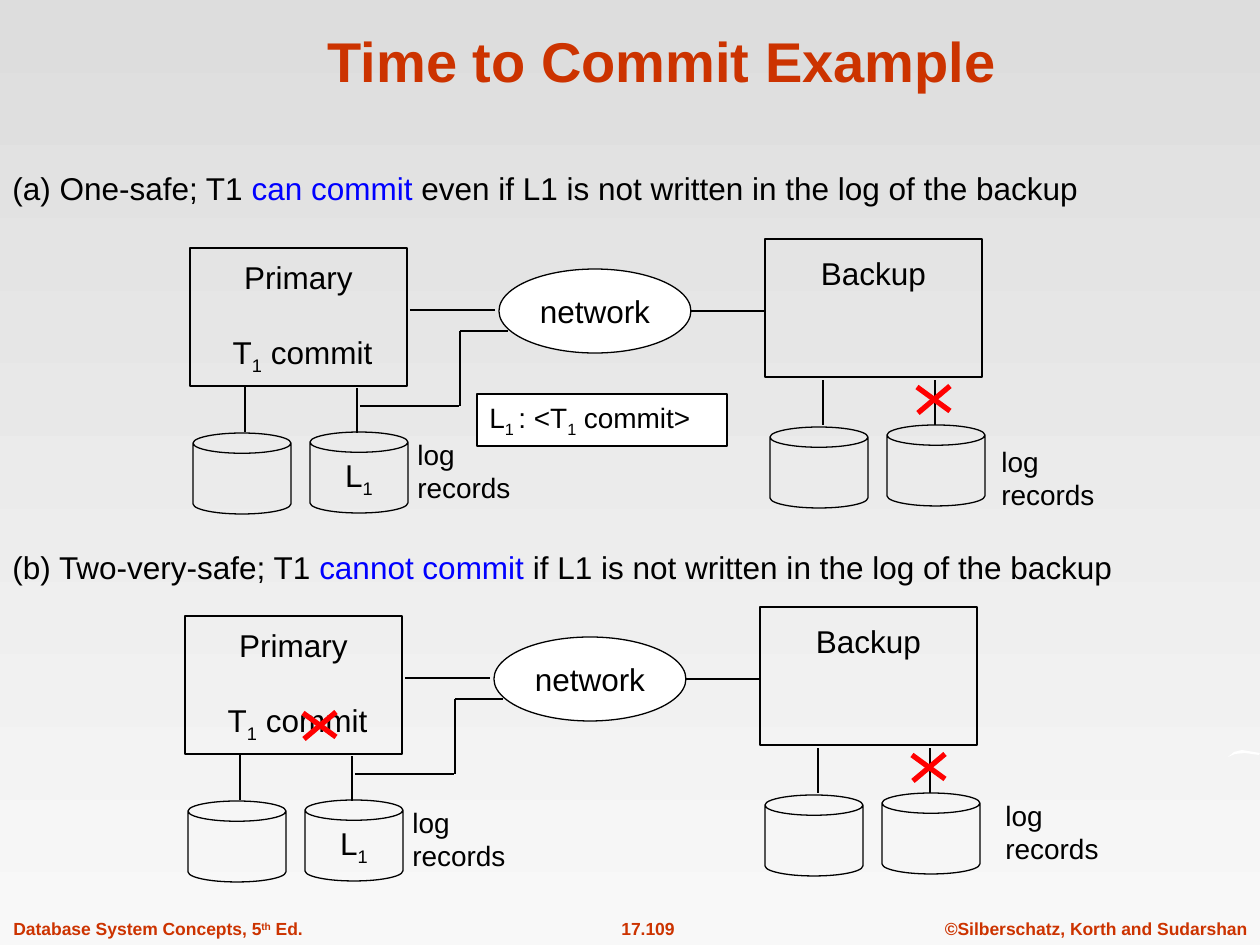
from dataclasses import dataclass
from typing import Any

from lxml.etree import SubElement as Sub
from pptx import Presentation as Deck
from pptx.dml.color import RGBColor as Rgb
from pptx.enum.shapes import MSO_CONNECTOR as Link, MSO_SHAPE as Kind
from pptx.enum.text import MSO_ANCHOR as Anchor, MSO_AUTO_SIZE as Auto, PP_ALIGN as Align
from pptx.oxml.ns import qn
from pptx.util import Emu, Pt

BLACK, WHITE, RED, BLUE, RUST = "000000", "FFFFFF", "FF0000", "0000FF", "CC3300"
SUB, SUPER = -25000, 30000


def px(num):
    return Emu(round(num * 914400 / 126))


def color(code):
    return Rgb.from_string(code)


@dataclass
class Board:
    """Holds the style and the current slide."""
    slide: Any
    face: str = "Arial"
    dx: int = 0
    dy: int = 0

    def spot(self, x, y):
        return px(x + self.dx), px(y + self.dy)

    def words(self, frame, lines, size=18, tint=BLACK, bold=False,
              align=Align.LEFT, anchor=Anchor.TOP, wrap=False):
        """Each line is a list of parts: a string, or (string, color or baseline)."""
        frame.auto_size = Auto.NONE
        frame.word_wrap = wrap
        frame.vertical_anchor = anchor
        for num, line in enumerate(lines):
            para = frame.add_paragraph() if num else frame.paragraphs[0]
            para.alignment = align
            for part in line:
                text, look = part if isinstance(part, tuple) else (part, None)
                run = para.add_run()
                run.text = text
                font = run.font
                font.name, font.size, font.bold = self.face, Pt(size), bold
                font.color.rgb = color(look if isinstance(look, str) else tint)
                if isinstance(look, int):
                    run._r.get_or_add_rPr().set("baseline", str(look))
        return frame

    def title(self, x, y, w, h, text):
        head = self.slide.shapes.title
        head.left, head.top, head.width, head.height = px(x), px(y), px(w), px(h)
        self.words(head.text_frame, [[text]], 32, RUST, True,
                   Align.CENTER, Anchor.BOTTOM, True)

    def label(self, x, y, w, h, lines, **style):
        box = self.slide.shapes.add_textbox(*self.spot(x, y), px(w), px(h))
        self.words(box.text_frame, lines, **style)

    def shape(self, kind, x, y, w, h, lines=(), fill=None, **style):
        item = self.slide.shapes.add_shape(kind, *self.spot(x, y), px(w), px(h))
        item.shadow.inherit = False
        self.paint(item, fill)
        item.line.color.rgb = color(BLACK)
        item.line.width = Pt(0.75)
        style = {"align": Align.CENTER, "anchor": Anchor.MIDDLE, **style}
        return self.words(item.text_frame, lines, **style)

    def paint(self, item, fill):
        if fill:
            item.fill.solid()
            item.fill.fore_color.rgb = color(fill)
        else:
            item.fill.background()

    def line(self, x1, y1, x2, y2, tint=BLACK, width=1.5):
        link = self.slide.shapes.add_connector(
            Link.STRAIGHT, *self.spot(x1, y1), *self.spot(x2, y2))
        link.line.color.rgb = color(tint)
        link.line.width = Pt(width)
        Sub(link._element.spPr, qn("a:effectLst"))

    def cross(self, x, y):
        self.line(x + 16, y - 13, x - 16, y + 14, RED, 3)
        self.line(x - 17, y - 12, x + 16, y + 12, RED, 3)

    def patch(self, dots):
        pen = self.slide.shapes.build_freeform(*map(px, dots[0]), scale=1.0)
        pen.add_line_segments([tuple(map(px, dot)) for dot in dots[1:]])
        item = pen.convert_to_shape()
        item.shadow.inherit = False
        self.paint(item, WHITE)
        item.line.fill.background()

    def disk(self, x, y, lines=()):
        self.shape(Kind.CAN, x, y, 98, 81, lines)

    def logs(self, x, y):
        self.label(x, y, 118, 81, [["log"], ["records"]], size=16)

    def plan(self, dx, dy):
        """One primary site linked to one backup site."""
        self.dx, self.dy = dx, dy
        # Primary site with its two disks
        main = self.shape(Kind.RECTANGLE, 190, 248, 217, 138,
                          [["Primary"], [" T", ("1", SUB), " commit"]])
        main.paragraphs[1].space_before = Pt(21)
        self.line(245, 432, 245, 387)
        self.line(357, 433, 357, 388)
        self.disk(193, 433)
        self.disk(310, 432, [["L", ("1", SUB)]])
        self.logs(405, 431)
        # Network and its links
        self.shape(Kind.OVAL, 499, 269, 192, 84, [["network"]], WHITE)
        for ends in ((410, 310, 495, 310), (360, 406, 459, 406), (460, 331, 460, 406),
                     (460, 331, 508, 331), (691, 311, 766, 311)):
            self.line(*ends)
        # Backup site with its two disks
        spare = self.shape(Kind.RECTANGLE, 765, 239, 217, 138,
                           [["Backup"]], anchor=Anchor.TOP)
        spare.margin_top = px(15)
        for x in (823, 935):
            self.line(x, 425, x, 380)
        self.disk(770, 427)
        self.disk(887, 425)
        self.cross(934, 399)


def main():
    deck = Deck()
    deck.slide_width, deck.slide_height = px(1260), px(945)
    slide = deck.slides.add_slide(deck.slide_layouts[5])
    board = Board(slide)

    # Background
    fill = slide.background.fill
    fill.gradient()
    fill.gradient_angle = 270
    for stop, code in zip(fill.gradient_stops, ("DDDDDD", "F8F8F8")):
        stop.color.rgb = color(code)
    board.patch([(1228, 757), (1234, 752), (1242, 750), (1260, 753), (1259, 755),
                 (1245, 753), (1235, 754)])

    # Footer
    foot = {"size": 10, "tint": RUST, "bold": True}
    board.label(1, 912, 314, 33,
                [["Database System Concepts, 5", ("th", SUPER), " Ed."]], **foot)
    board.label(581, 912, 134, 33, [["17.109"]], align=Align.CENTER, **foot)
    board.label(932, 912, 328, 33, [["©Silberschatz, Korth and Sudarshan"]],
                align=Align.CENTER, **foot)

    # Title and captions
    board.title(106, 16, 1112, 84, "Time to Commit Example")
    rest = " if L1 is not written in the log of the backup"
    for y, start, key, end in ((163, "(a) One-safe; T1 ", "can commit", " even" + rest),
                               (542, "(b) Two-very-safe; T1 ", "cannot commit", rest)):
        board.label(0, y, 1260, 50, [[start, (key, BLUE), end]], wrap=True)

    # Case (a): the record is lost on its way to the backup
    board.plan(0, 0)
    board.shape(Kind.RECTANGLE, 477, 394, 250, 52,
                [["L", ("1 ", SUB), ": <T", ("1", SUB), " commit>"]], WHITE,
                size=16, align=Align.LEFT, anchor=Anchor.TOP)
    board.logs(989, 438)

    # Case (b): the commit is held back as well
    board.plan(-5, 368)
    board.cross(325, 357)
    board.logs(998, 424)

    deck.save("out.pptx")


if __name__ == "__main__":
    main()
